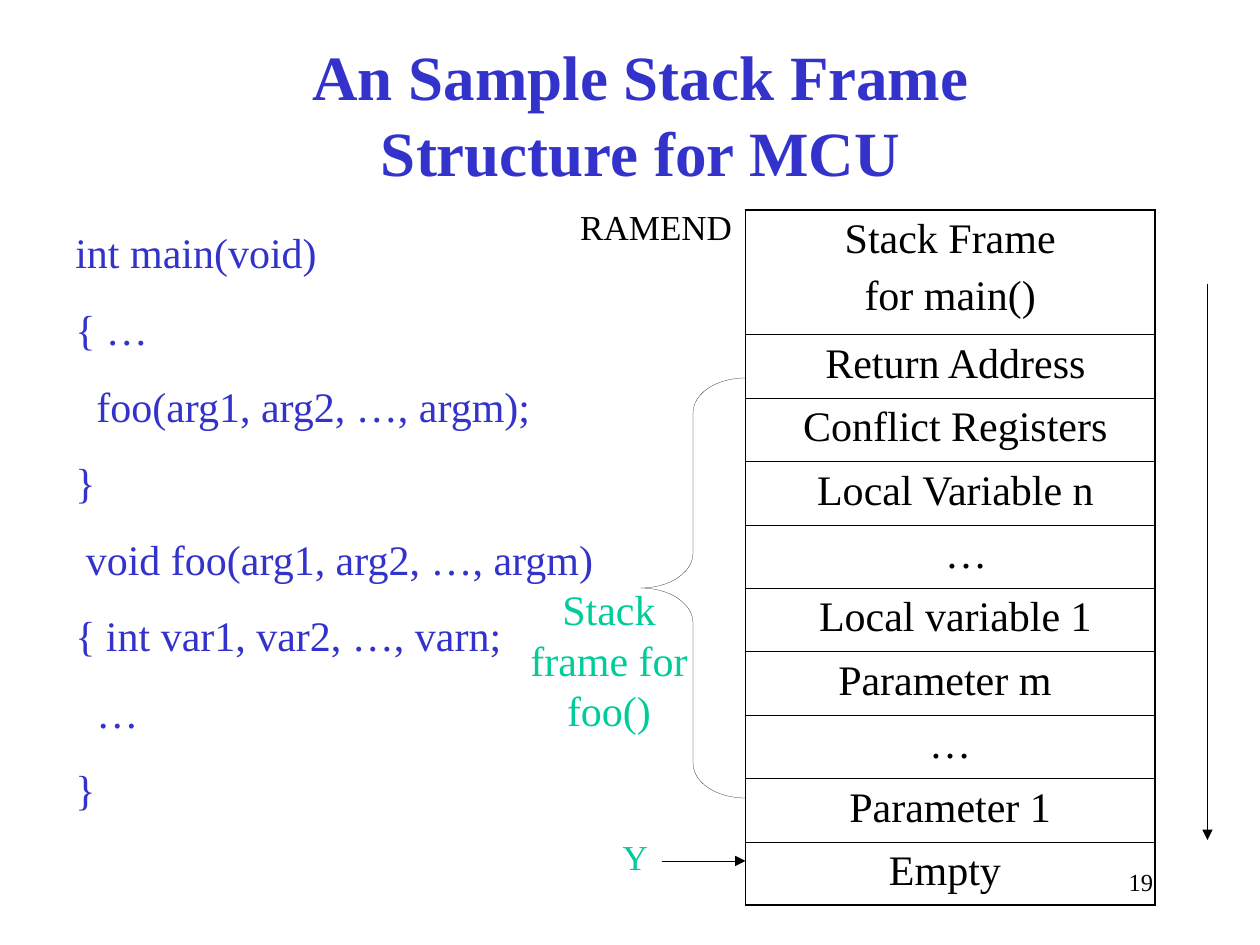
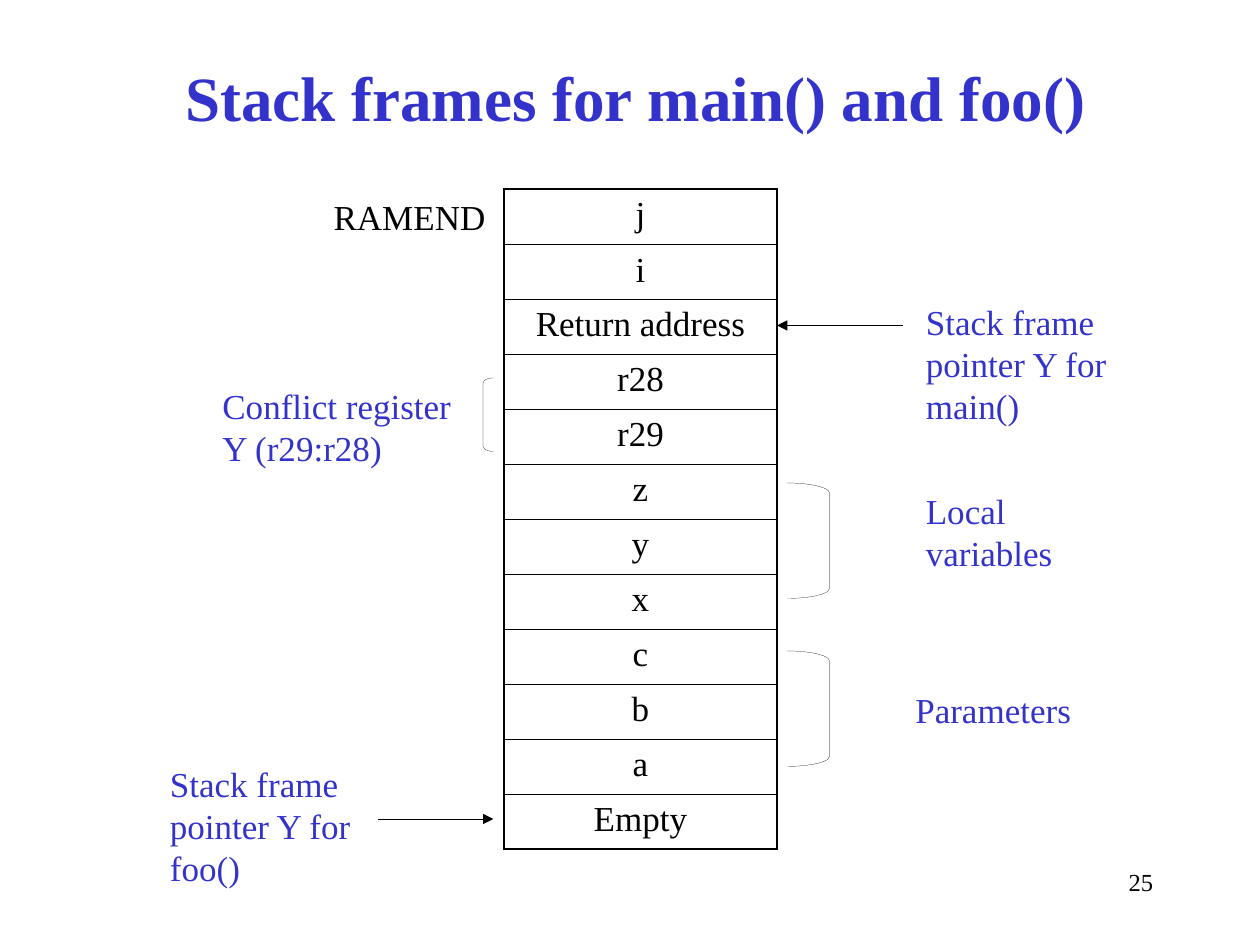
from dataclasses import dataclass

from lxml import etree
from pptx import Presentation
from pptx.dml.color import RGBColor
from pptx.enum.shapes import MSO_CONNECTOR, MSO_SHAPE
from pptx.enum.text import PP_ALIGN
from pptx.oxml.ns import qn
from pptx.util import Inches, Pt

LEFT, CENTER, RIGHT = PP_ALIGN.LEFT, PP_ALIGN.CENTER, PP_ALIGN.RIGHT
STRAIGHT = MSO_CONNECTOR.STRAIGHT
LEFT_BRACE = MSO_SHAPE.LEFT_BRACE
LEFT_BRACKET, RIGHT_BRACKET = MSO_SHAPE.LEFT_BRACKET, MSO_SHAPE.RIGHT_BRACKET


@dataclass(frozen=True)
class Theme:
    font: str = "Times New Roman"
    ink: str = "000000"
    blue: str = "3333CC"
    green: str = "00CC99"
    title: int = 36
    large: int = 24
    label: int = 20
    number: int = 14
    line_height: float = 1.2
    outer_rule: float = 1.08
    inner_rule: float = 0.45
    hairline: float = 0.1


THEME = Theme()
COLUMNS, ROWS = 120, 90  # the slide grid has twelve units to the inch
NUMBER_BOX = (86, 82, 25, 6)

# Boxes are (left, top, width, height) in grid units.
# Labels are (text, box, size, colour, alignment).
# Stack cells are (lines, shift to the right in points).
SLIDES = [
    {
        "title": ("An Sample Stack Frame Structure for MCU", (23, 3, 76, 15.6)),
        "number": "19",
        "stack": {
            "left": 71, "top": 20, "width": 39, "size": THEME.large,
            "first_row": 0.99, "height": 5.52,
            "cells": [
                (["Stack Frame", "for main()"], 0),
                (["Return Address"], 6),
                (["Conflict Registers"], 6),
                (["Local Variable n"], 6),
                (["…"], 18),
                (["Local variable 1"], 6),
                (["Parameter m"], -6),
                (["…"], 0),
                (["Parameter 1"], 0),
                (["Empty"], -6),
            ],
        },
        "labels": [
            ("  int main(void)\n"
             "  { …\n"
             "    foo(arg1, arg2, …, argm);\n"
             "  }\n"
             "   void foo(arg1, arg2, …, argm)\n"
             "  { int var1, var2, …, varn;\n"
             "    …\n"
             "  }", (4, 21, 60, 57), THEME.large, THEME.blue, LEFT),
            ("Y", (54, 79, 13, 5), THEME.label, THEME.green, CENTER),
            ("Stack frame for foo()", (48, 55, 20, 16), THEME.large, THEME.green, CENTER),
            ("RAMEND", (53, 19, 19, 5), THEME.label, THEME.ink, CENTER),
        ],
        "arrows": [((63, 82), (71, 82)), ((115, 27), (115, 80))],
        "brackets": [(LEFT_BRACE, (61, 36, 10, 40), 0.33)],
    },
    {
        "title": ("Stack frames for main() and foo()", (11, 5, 99, 8.4)),
        "number": "25",
        "stack": {
            "left": 48, "top": 18, "width": 26, "size": THEME.label,
            "first_row": 0.44, "height": 5.24,
            "cells": [([word], 0) for word in (
                "j", "i", "Return address", "r28", "r29", "z", "y", "x",
                "c", "b", "a", "Empty")],
        },
        "labels": [
            ("RAMEND", (28, 18, 22, 5), THEME.label, THEME.ink, CENTER),
            ("Stack frame pointer Y for main()", (87, 28, 27, 13), THEME.label, THEME.blue, LEFT),
            ("Stack frame pointer Y for foo()", (15, 72, 27, 13), THEME.label, THEME.blue, LEFT),
            ("Local variables", (87, 46, 17, 9), THEME.label, THEME.blue, LEFT),
            ("Parameters", (86, 65, 19, 5), THEME.label, THEME.blue, LEFT),
            ("Conflict register Y (r29:r28)", (20, 36, 27, 9), THEME.label, THEME.blue, LEFT),
        ],
        "arrows": [((86, 31), (74, 31)), ((36, 78), (47, 78))],
        "brackets": [
            (RIGHT_BRACKET, (75, 46, 4, 11), 0.24),
            (RIGHT_BRACKET, (75, 62, 4, 11), 0.24),
            (LEFT_BRACKET, (46, 36, 1, 7), 0.5),
        ],
    },
]


def grid(*units):
    return [Inches(unit / 12) for unit in units]


def write(frame, lines, size, color, align, gap=0, bold=False, line_spacing=None):
    """Fill a text frame, with the gap in points between paragraphs."""
    frame.text = "\n".join(lines)
    for index, paragraph in enumerate(frame.paragraphs):
        paragraph.alignment = align
        paragraph.space_before = Pt(gap if index else 0)
        if line_spacing:
            paragraph.line_spacing = Pt(line_spacing)
        for run in paragraph.runs:
            run.font.name = THEME.font
            run.font.size = Pt(size)
            run.font.bold = bold
            run.font.color.rgb = RGBColor.from_string(color)


def add_label(slide, text, box, size, color, align, bold=False, spaced=True):
    frame = slide.shapes.add_textbox(*grid(*box)).text_frame
    frame.word_wrap = True
    write(frame, text.split("\n"), size, color, align, gap=15, bold=bold,
          line_spacing=size * THEME.line_height if spaced else None)


def rule_cell(cell, widths):
    """Draw the cell borders; the fill element must come after them."""
    properties = cell._tc.get_or_add_tcPr()
    for position, (side, width) in enumerate(widths.items()):
        line = etree.Element(qn(f"a:ln{side}"), w=str(Pt(width)))
        fill = etree.SubElement(line, qn("a:solidFill"))
        etree.SubElement(fill, qn("a:srgbClr"), val=THEME.ink)
        properties.insert(position, line)


def add_stack(slide, left, top, width, size, first_row, height, cells):
    x, y, w = grid(left, top, width)
    table = slide.shapes.add_table(len(cells), 1, x, y, w, Inches(height)).table
    table.first_row = table.horz_banding = False
    last = len(cells) - 1
    other_row = (height - first_row) / last
    for index, (lines, shift) in enumerate(cells):
        table.rows[index].height = Inches(other_row if index else first_row)
        cell = table.cell(index, 0)
        cell.fill.background()
        cell.margin_left = Inches(0.1) + Pt(max(shift, 0))
        cell.margin_right = Inches(0.1) + Pt(max(-shift, 0))
        write(cell.text_frame, lines, size, THEME.ink, CENTER, gap=6)
        rule_cell(cell, {
            "L": THEME.outer_rule,
            "R": THEME.outer_rule,
            "T": THEME.inner_rule if index else THEME.outer_rule,
            "B": THEME.outer_rule if index == last else THEME.inner_rule,
        })


def hairline(shape):
    shape.line.color.rgb = RGBColor.from_string(THEME.ink)
    shape.line.width = Pt(THEME.hairline)


def add_arrow(slide, start, end):
    arrow = slide.shapes.add_connector(STRAIGHT, *grid(*start, *end))
    hairline(arrow)
    etree.SubElement(arrow.line._get_or_add_ln(), qn("a:tailEnd"), type="triangle")
    etree.SubElement(arrow._element.spPr, qn("a:effectLst"))


def add_bracket(slide, kind, box, curve):
    bracket = slide.shapes.add_shape(kind, *grid(*box))
    bracket.adjustments[0] = curve
    bracket.shadow.inherit = False
    bracket.fill.background()
    hairline(bracket)


def build_slide(deck, content):
    slide = deck.slides.add_slide(deck.slide_layouts[6])
    add_label(slide, *content["title"], THEME.title, THEME.blue, CENTER, bold=True)
    add_stack(slide, **content["stack"])
    for label in content["labels"]:
        add_label(slide, *label)
    for arrow in content["arrows"]:
        add_arrow(slide, *arrow)
    for bracket in content["brackets"]:
        add_bracket(slide, *bracket)
    add_label(slide, content["number"], NUMBER_BOX, THEME.number, THEME.ink, RIGHT,
              spaced=False)


def main():
    deck = Presentation()
    deck.slide_width, deck.slide_height = grid(COLUMNS, ROWS)
    for content in SLIDES:
        build_slide(deck, content)
    deck.save("out.pptx")


if __name__ == "__main__":
    main()
